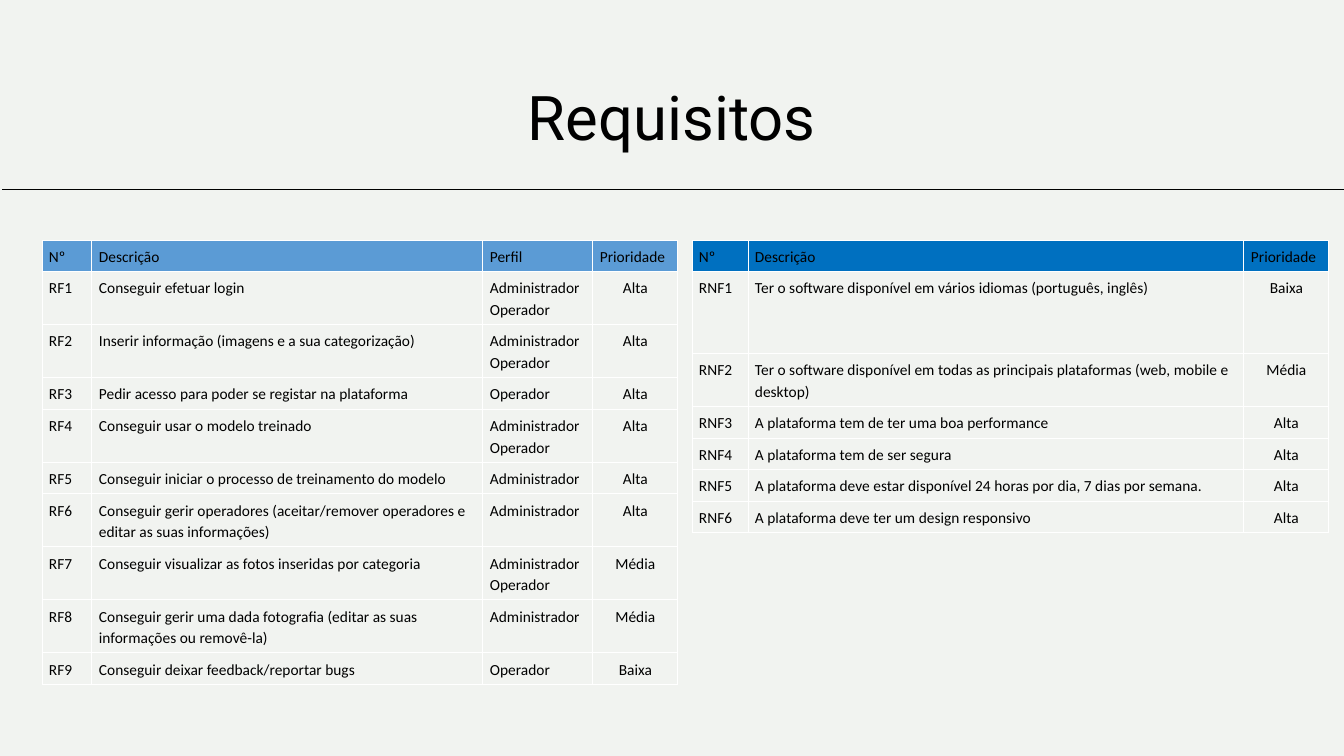
from lxml.etree import SubElement
from pptx import Presentation
from pptx.dml.color import RGBColor
from pptx.enum.shapes import MSO_CONNECTOR
from pptx.enum.text import MSO_ANCHOR, PP_ALIGN
from pptx.oxml import parse_xml
from pptx.oxml.ns import nsdecls, qn
from pptx.util import Pt

EMU_PER_PX = 12192000 / 1344


def px(length):
    return round(length * EMU_PER_PX)


def paint(fill, color):
    fill.solid()
    fill.fore_color.rgb = RGBColor.from_string(color)


presentation = Presentation()
presentation.slide_width, presentation.slide_height = px(1344), px(756)
slide = presentation.slides.add_slide(presentation.slide_layouts[5])
paint(slide.background.fill, "F1F3F0")

# Title
heading = slide.shapes.title
for name, length in {"left": 124, "top": 40, "width": 1096, "height": 119}.items():
    setattr(heading, name, px(length))
heading.text_frame.text = "Requisitos"
heading.text_frame.vertical_anchor = MSO_ANCHOR.BOTTOM
heading_line = heading.text_frame.paragraphs[0]
for name, value in {"alignment": PP_ALIGN.CENTER, "line_spacing": 0.9}.items():
    setattr(heading_line, name, value)
for name, value in {"name": "Roboto", "size": Pt(44), "bold": False}.items():
    setattr(heading_line.font, name, value)
paint(heading_line.font.fill, "000000")

# Rule below the title
rule = slide.shapes.add_connector(
    MSO_CONNECTOR.STRAIGHT, px(1344), px(189), px(2), px(189))
rule.line.width = Pt(0.5)
paint(rule.line.fill, "000000")
SubElement(rule.element.spPr, qn("a:effectLst"))

# Requirements: place, column widths, first row heights, header colour and rows
functional = {
    "left": 42, "height": 424, "columns": [50, 391, 110, 85],
    "tall_rows": {}, "header": "5B9BD5",
    "rows": [
        ("Nº", "Descrição", "Perfil", "Prioridade"),
        ("RF1", "Conseguir efetuar login", "Administrador Operador", "Alta"),
        ("RF2", "Inserir informação (imagens e a sua categorização)",
         "Administrador Operador", "Alta"),
        ("RF3", "Pedir acesso para poder se registar na plataforma", "Operador", "Alta"),
        ("RF4", "Conseguir usar o modelo treinado", "Administrador Operador", "Alta"),
        ("RF5", "Conseguir iniciar o processo de treinamento do modelo",
         "Administrador", "Alta"),
        ("RF6", "Conseguir gerir operadores (aceitar/remover operadores e "
                "editar as suas informações)", "Administrador", "Alta"),
        ("RF7", "Conseguir visualizar as fotos inseridas por categoria",
         "Administrador Operador", "Média"),
        ("RF8", "Conseguir gerir uma dada fotografia (editar as suas "
                "informações ou removê-la)", "Administrador", "Média"),
        ("RF9", "Conseguir deixar feedback/reportar bugs", "Operador", "Baixa"),
    ],
}
non_functional = {
    "left": 692, "height": 282, "columns": [56, 496, 85],
    "tall_rows": {1: 82}, "header": "0070C0",
    "rows": [
        ("Nº", "Descrição", "Prioridade"),
        ("RNF1", "Ter o software disponível em vários idiomas (português, inglês)", "Baixa"),
        ("RNF2", "Ter o software disponível em todas as principais plataformas "
                 "(web, mobile e desktop)", "Média"),
        ("RNF3", "A plataforma tem de ter uma boa performance", "Alta"),
        ("RNF4", "A plataforma tem de ser segura", "Alta"),
        ("RNF5", "A plataforma deve estar disponível 24 horas por dia, "
                 "7 dias por semana.", "Alta"),
        ("RNF6", "A plataforma deve ter um design responsivo", "Alta"),
    ],
}

cell_margins = {"margin_left": 7, "margin_right": 7, "margin_top": 5, "margin_bottom": 5}
paragraph_format = {"line_spacing": Pt(15.4), "space_after": Pt(9)}
font_format = {"name": "Calibri", "size": Pt(11), "bold": False}

# Tables
for requirements in (functional, non_functional):
    rows, columns = requirements["rows"], requirements["columns"]
    frame = slide.shapes.add_table(
        len(rows), len(columns), px(requirements["left"]), px(240),
        px(sum(columns)), px(requirements["height"]))
    grid = frame.table
    grid.first_row = grid.horz_banding = False
    for column, width in zip(grid.columns, columns):
        column.width = px(width)
    for index, row in enumerate(rows):
        grid.rows[index].height = px(requirements["tall_rows"].get(index, 21))
        for position, wording in enumerate(row):
            cell = grid.cell(index, position)
            cell.text = wording
            for name, length in cell_margins.items():
                setattr(cell, name, px(length))
            # White borders come before the fill
            for side in "LRTB":
                cell._tc.get_or_add_tcPr().append(parse_xml(
                    f'<a:ln{side} {nsdecls("a")} w="9525"><a:solidFill>'
                    f'<a:srgbClr val="FFFFFF"/></a:solidFill></a:ln{side}>'))
            if index == 0:
                paint(cell.fill, requirements["header"])
            else:
                cell.fill.background()
            entry = cell.text_frame.paragraphs[0]
            for name, value in paragraph_format.items():
                setattr(entry, name, value)
            priority = index > 0 and position == len(columns) - 1
            entry.alignment = PP_ALIGN.CENTER if priority else PP_ALIGN.LEFT
            for name, value in font_format.items():
                setattr(entry.font, name, value)
            paint(entry.font.fill, "000000")
    frame.height = px(requirements["height"])

presentation.save("out.pptx")
